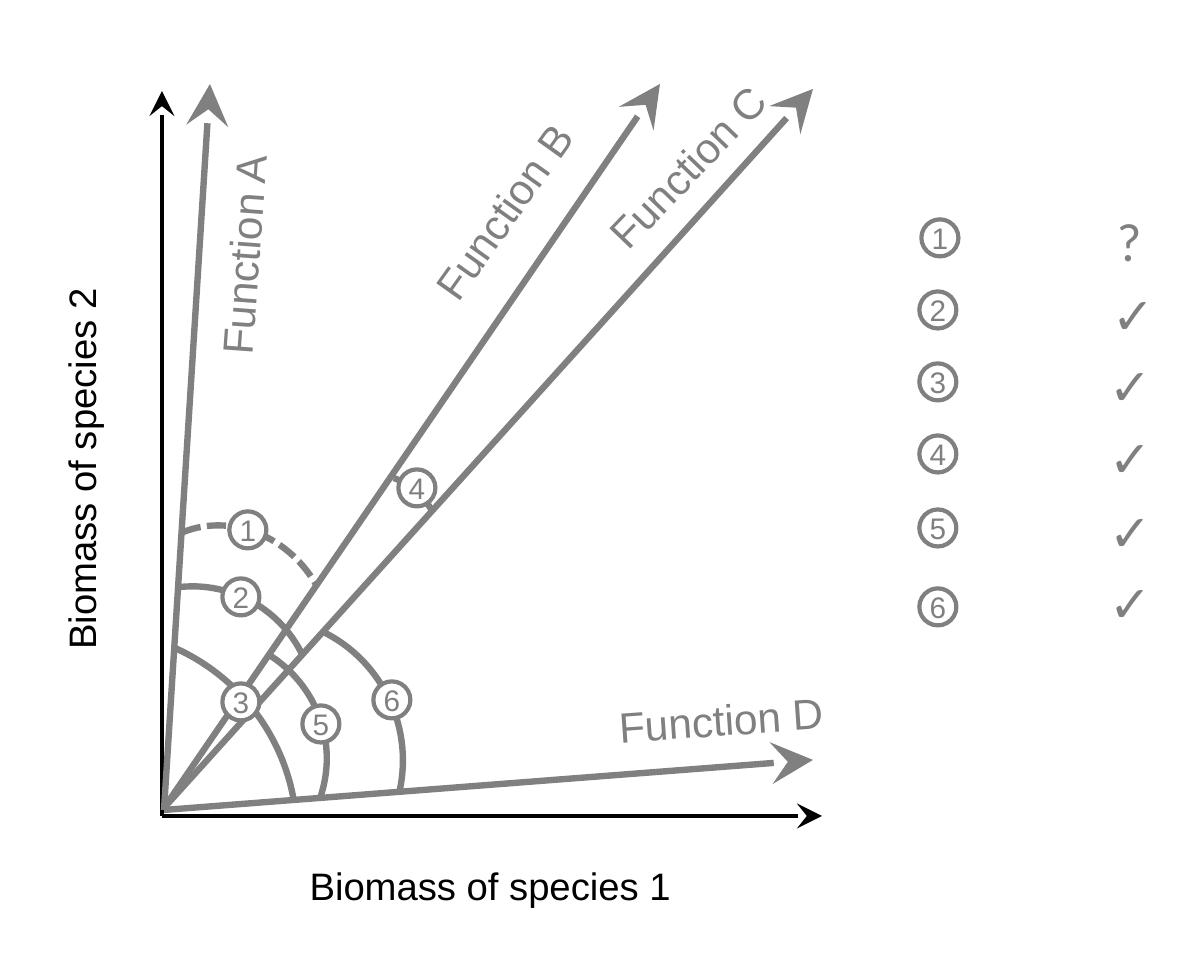
import pptx
import pptx.util
import pptx.dml.color
import pptx.enum.dml
import pptx.enum.shapes
import pptx.enum.text
import pptx.oxml.ns
import lxml.etree

EMU_PER_PX = 914400 / 305.6
COLORS = {"axis": "000000", "function": "808080", "badge": "FFFFFF"}
ALIGN = pptx.enum.text.PP_ALIGN
SHAPE = pptx.enum.shapes.MSO_SHAPE


def px(*lengths):
    return [pptx.util.Emu(round(length * EMU_PER_PX)) for length in lengths]


def write(frame, text, size, color, align, font="Arial"):
    frame.text = text
    paragraph = frame.paragraphs[0]
    paragraph.alignment = align
    run_font = paragraph.runs[0].font
    run_font.name = font
    run_font.size = pptx.util.Pt(size)
    run_font.color.rgb = pptx.dml.color.RGBColor.from_string(COLORS[color])


deck = pptx.Presentation()
deck.slide_width, deck.slide_height = px(1204, 963)
shapes = deck.slides.add_slide(deck.slide_layouts[6]).shapes
gray = pptx.dml.color.RGBColor.from_string(COLORS["function"])

# Axes and function vectors: start, tip, colour, width, arrowhead size
for start, tip, color, width, head in [
    ((162, 816), (162, 91), "axis", 1, "med"),
    ((162, 816), (822, 816), "axis", 1, "med"),
    ((164, 808), (813, 89), "function", 1.5, "lg"),
    ((164, 808), (660, 84), "function", 1.5, "lg"),
    ((164, 810), (813, 760), "function", 1.5, "lg"),
    ((164, 810), (210, 84), "function", 1.5, "lg"),
]:
    vector = shapes.add_connector(
        pptx.enum.shapes.MSO_CONNECTOR.STRAIGHT, *px(*start, *tip))
    vector.line.color.rgb = pptx.dml.color.RGBColor.from_string(COLORS[color])
    vector.line.width = pptx.util.Pt(width)
    lxml.etree.SubElement(vector.line._get_or_add_ln(), pptx.oxml.ns.qn("a:tailEnd"),
                          type="stealth", w=head, len=head)
    lxml.etree.SubElement(vector._element.spPr, pptx.oxml.ns.qn("a:effectLst"))

# Axis and function names: centre, size, rotation
for name, x, y, width, height, rotation, size, color in [
    ("Biomass of species 1", 490, 885, 657, 76, 0, 9, "axis"),
    ("Biomass of species 2", 81, 469, 712, 76, 270, 9, "axis"),
    ("Function C", 688, 167, 636, 83, 313.8, 10, "function"),
    ("Function B", 504, 212, 636, 83, 305.5, 10, "function"),
    ("Function A", 244, 255, 636, 83, 274.2, 10, "function"),
    ("Function D", 721, 720, 636, 83, 356, 10, "function"),
]:
    label = shapes.add_textbox(*px(x - width / 2, y - height / 2, width, height))
    label.rotation = rotation
    label.text_frame.word_wrap = True
    write(label.text_frame, name, size, color, ALIGN.CENTER)

# Angles between functions: box, rotation, start and end of the arc
for box, rotation, start, end, dashed in [
    ((67, 587, 248, 244), 332.5, 175.4, 0.55, False),
    ((125, 523, 205, 226), 330.5, 165.59, 215.88, True),
    ((-116, 630, 413, 413), 14, 167.56, 201.26, False),
    ((79, 636, 248, 244), 9.9, 175.4, 5.27, False),
    ((116, 617, 287, 287), 9.9, 172.42, 1.85, False),
    ((299, 474, 144, 156), 0, 172.29, 195.12, False),
]:
    angle = shapes.add_shape(SHAPE.ARC, *px(*box))
    angle.rotation = rotation
    angle.adjustments[0] = start
    angle.adjustments[1] = end
    angle.shadow.inherit = False
    angle.fill.background()
    angle.line.color.rgb = gray
    angle.line.width = pptx.util.Pt(1.5)
    if dashed:
        angle.line.dash_style = pptx.enum.dml.MSO_LINE.SQUARE_DOT

# Numbered badges: on the angles, then in the key
BADGE = 37
angle_centres = [(248, 530), (241, 597), (241, 702), (417, 488), (321, 724), (392, 700)]
key_centres = [(940, 238), (938, 310), (938, 382), (938, 454), (938, 528), (938, 607)]
for centres in (angle_centres, key_centres):
    for number, (x, y) in enumerate(centres, start=1):
        badge = shapes.add_shape(
            SHAPE.OVAL, *px(x - BADGE / 2, y - BADGE / 2, BADGE, BADGE))
        badge.shadow.inherit = False
        badge.fill.solid()
        badge.fill.fore_color.rgb = pptx.dml.color.RGBColor.from_string(COLORS["badge"])
        badge.line.color.rgb = gray
        badge.line.width = pptx.util.Pt(1)
        frame = badge.text_frame
        frame.margin_left = frame.margin_right = frame.margin_top = frame.margin_bottom = 0
        frame.word_wrap = False
        frame.vertical_anchor = pptx.enum.text.MSO_ANCHOR.MIDDLE
        write(frame, str(number), 7, "function", ALIGN.CENTER)

# Verdict beside each key number
for verdict, left, top in [
    ("?", 1088, 196), ("✓", 1082, 269), ("✓", 1079, 340),
    ("✓", 1079, 412), ("✓", 1079, 486), ("✓", 1079, 557),
]:
    mark = shapes.add_textbox(*px(left, top, 116, 92))
    mark.text_frame.word_wrap = True
    write(mark.text_frame, verdict, 12, "function", ALIGN.LEFT, "Lato")

deck.save("out.pptx")
